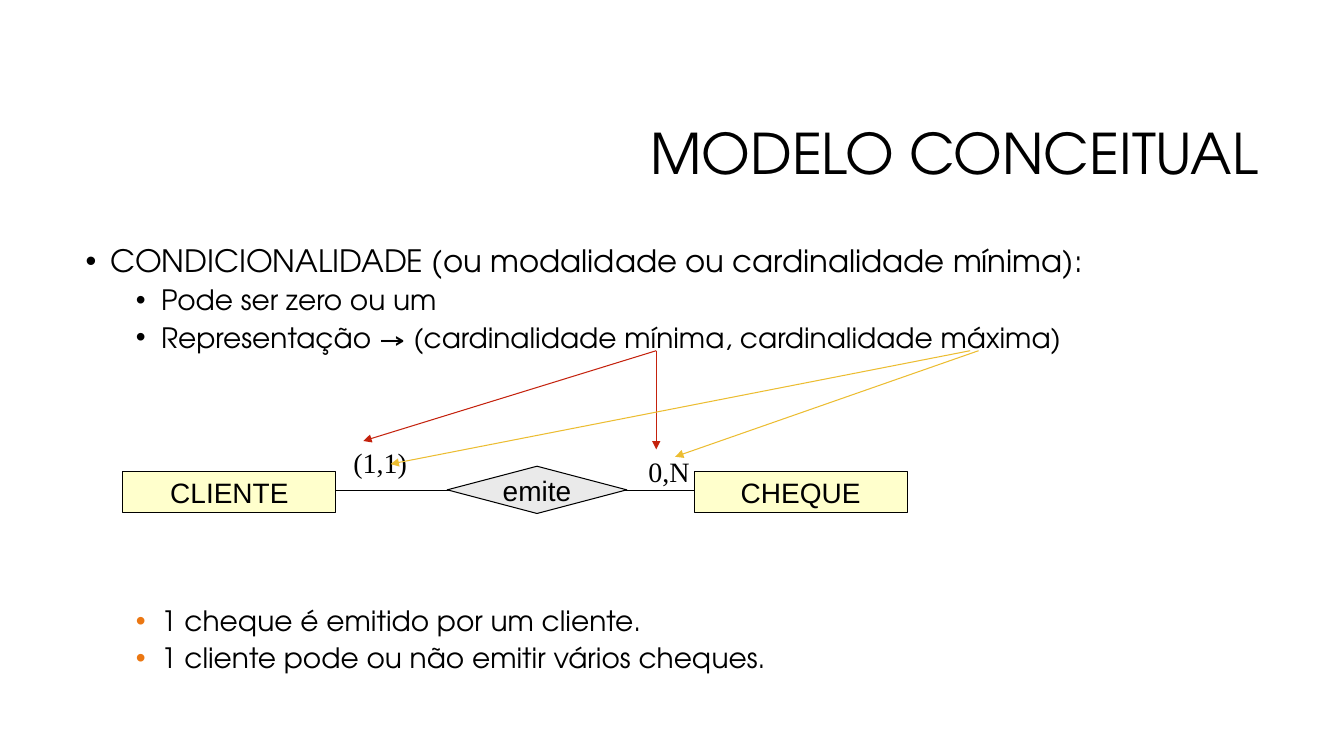
from lxml.etree import SubElement
from pptx import Presentation
from pptx.dml.color import RGBColor
from pptx.enum.shapes import MSO_CONNECTOR, MSO_SHAPE
from pptx.enum.text import MSO_ANCHOR, PP_ALIGN
from pptx.oxml.ns import qn
from pptx.util import Pt

PX = 9525
BLACK = RGBColor(0x00, 0x00, 0x00)
CREAM = RGBColor(0xFF, 0xFF, 0xCC)
GREY = RGBColor(0xEA, 0xEA, 0xEA)
RED = RGBColor(0xC4, 0x22, 0x0D)
GOLD = RGBColor(0xEC, 0xBD, 0x31)
ORANGE = RGBColor(0xEB, 0x77, 0x12)


class Deck:
    head = "TeX Gyre Adventor"
    sans = "Arial"
    serif = "Times New Roman"

    def __init__(self, wide, high):
        self.show = Presentation()
        self.show.slide_width = wide * PX
        self.show.slide_height = high * PX
        self.slide = self.show.slides.add_slide(self.show.slide_layouts[5])

    def run(self, para, text, size, font):
        run = para.add_run()
        run.text = text
        run.font.size = Pt(size)
        run.font.name = font
        run.font.color.rgb = BLACK

    def title(self, text, left, top, wide, high):
        shape = self.slide.shapes.title
        shape.left, shape.top = left * PX, top * PX
        shape.width, shape.height = wide * PX, high * PX
        frame = shape.text_frame
        frame.vertical_anchor = MSO_ANCHOR.MIDDLE
        para = frame.paragraphs[0]
        para.alignment = PP_ALIGN.RIGHT
        para.line_spacing = 0.9
        self.run(para, text, 40, self.head)

    def box(self, left, top, wide, high):
        shape = self.slide.shapes.add_textbox(
            left * PX, top * PX, wide * PX, high * PX)
        shape.text_frame.word_wrap = True
        return shape.text_frame

    def label(self, text, left, top):
        frame = self.box(left, top, 160, 42)
        self.run(frame.paragraphs[0], text, 20, self.serif)

    def bullets(self, items, left, top, wide, high):
        frame = self.box(left, top, wide, high)
        for i, (text, level, size, gap, color) in enumerate(items):
            para = frame.add_paragraph() if i else frame.paragraphs[0]
            para.level = level
            para.line_spacing = 0.9
            para.space_before = Pt(gap)
            props = para._p.get_or_add_pPr()
            props.set("marL", str((24 + 48 * level) * PX))
            props.set("indent", str(-24 * PX))
            tint = SubElement(props, qn("a:buClr"))
            SubElement(tint, qn("a:srgbClr"), val=str(color))
            SubElement(props, qn("a:buFont"), typeface=self.sans)
            SubElement(props, qn("a:buChar"), char="•")
            self.run(para, text, size, self.head)

    def node(self, kind, text, fill, left, top, wide, high):
        shape = self.slide.shapes.add_shape(
            kind, left * PX, top * PX, wide * PX, high * PX)
        shape.shadow.inherit = False
        shape.fill.solid()
        shape.fill.fore_color.rgb = fill
        shape.line.color.rgb = BLACK
        shape.line.width = Pt(0.75)
        frame = shape.text_frame
        frame.word_wrap = False
        frame.vertical_anchor = MSO_ANCHOR.MIDDLE
        para = frame.paragraphs[0]
        para.alignment = PP_ALIGN.CENTER
        self.run(para, text, 20, self.sans)

    def line(self, start, end, color, arrow=False):
        shape = self.slide.shapes.add_connector(
            MSO_CONNECTOR.STRAIGHT, *(n * PX for n in start + end))
        shape.line.color.rgb = color
        shape.line.width = Pt(0.75)
        props = shape._element.spPr
        if arrow:
            SubElement(props.find(qn("a:ln")), qn("a:tailEnd"),
                       type="triangle")
        SubElement(props, qn("a:effectLst"))


def main():
    deck = Deck(1280, 720)
    deck.title("MODELO CONCEITUAL", 304, 81, 904, 135)
    deck.bullets([
        ("CONDICIONALIDADE (ou modalidade ou cardinalidade mínima):",
         0, 22, 10, BLACK),
        ("Pode ser zero ou um", 1, 20, 5, BLACK),
        ("Representação → (cardinalidade mínima, cardinalidade máxima)",
         1, 20, 5, BLACK),
        ("1 cheque é emitido por um cliente.", 1, 20, 181, ORANGE),
        ("1 cliente pode ou não emitir vários cheques.", 1, 20, 5, ORANGE),
    ], 72, 230, 1136, 446)

    for text, left in (("CLIENTE", 117), ("CHEQUE", 661)):
        deck.node(MSO_SHAPE.RECTANGLE, text, CREAM, left, 449, 203, 39)
    deck.line((320, 467), (661, 467), BLACK)
    deck.node(MSO_SHAPE.DIAMOND, "emite", GREY, 426, 444, 171, 45)
    deck.label("(1,1)", 327, 420)
    deck.label("0,N", 608, 428)

    for start, end, color in (
        ((625, 334), (346, 420), RED),
        ((625, 334), (625, 428), RED),
        ((924, 334), (372, 442), GOLD),
        ((932, 334), (643, 435), GOLD),
    ):
        deck.line(start, end, color, arrow=True)
    deck.show.save("out.pptx")


if __name__ == "__main__":
    main()
